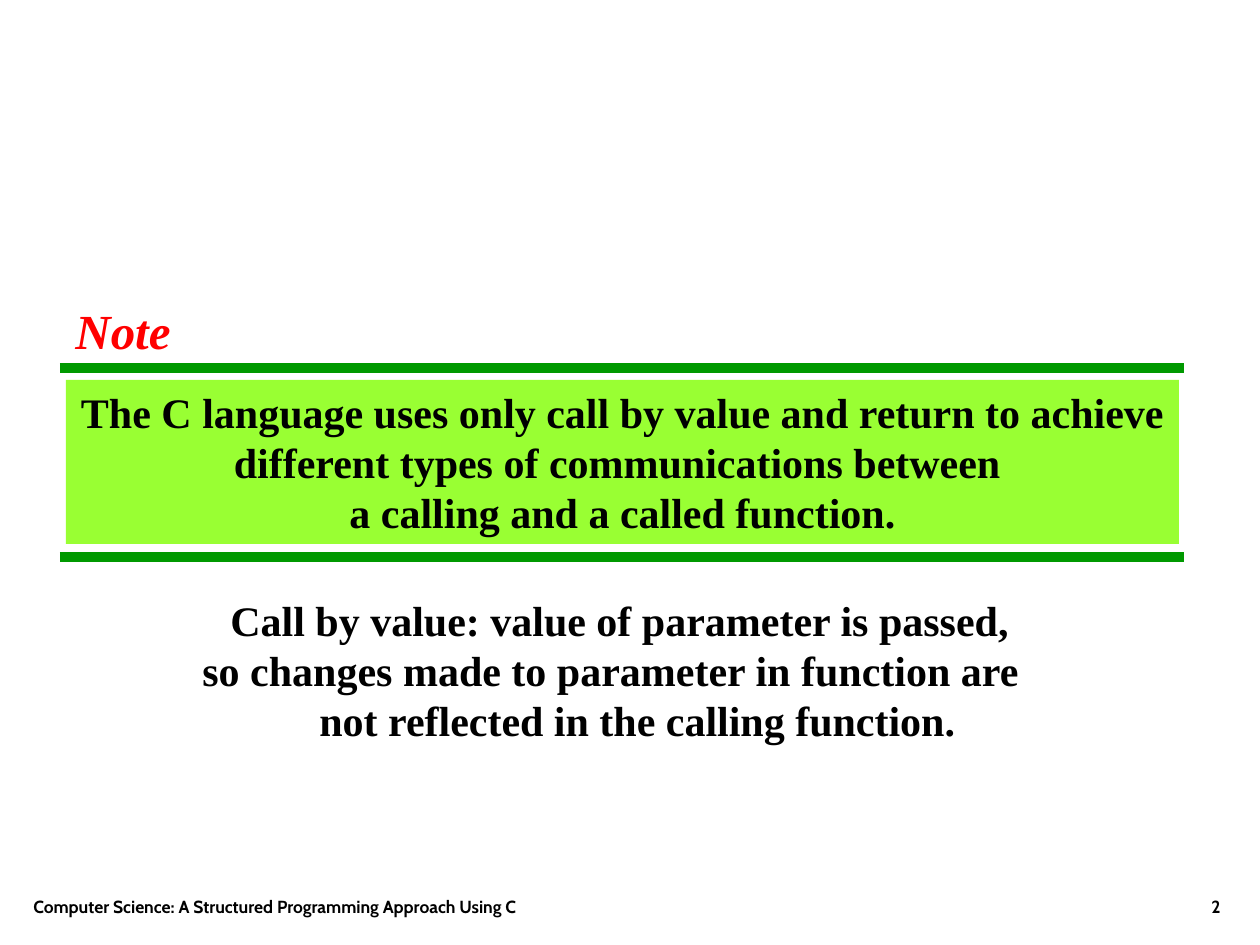
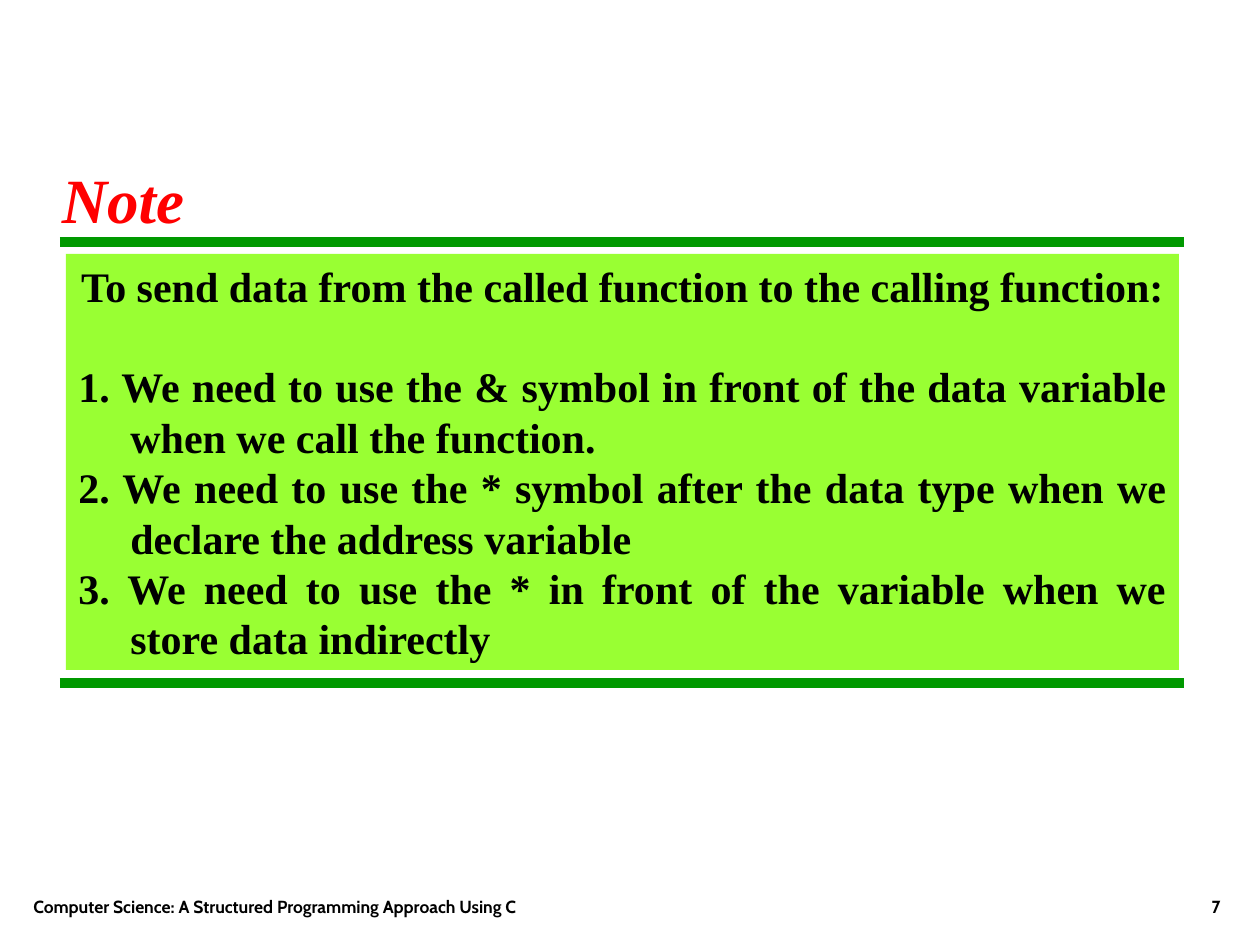
from pptx import Presentation
from pptx.dml.color import RGBColor
from pptx.enum.shapes import MSO_CONNECTOR, MSO_SHAPE
from pptx.enum.text import MSO_ANCHOR, MSO_AUTO_SIZE, PP_ALIGN as ALIGN
from pptx.oxml.ns import qn
from pptx.util import Pt
from lxml.etree import SubElement

# Shared look
EMU_PER_PX = 914400 / 126
SLIDE_WIDTH, SLIDE_HEIGHT = 1260, 945
BODY_FONT, FOOTER_FONT = "Times New Roman", "Cabin"
BLACK, RED, GREEN, LIME = "000000", "FF0000", "009900", "99FF33"
BODY_SIZE, FOOTER_SIZE = 24, 10
BODY_LINE = 28.8
BAR_LEFT, BAR_RIGHT, BAR_GAP = 60, 1184, 12
PANEL_LEFT, PANEL_WIDTH = 66, 1113
FOOTER_TOP, FOOTER_HEIGHT = 860, 63
HANGING = 52
FOOTER = "Computer Science: A Structured Programming Approach Using C"


def px(length):
    return round(length * EMU_PER_PX)


def color(hex_string):
    return RGBColor.from_string(hex_string)


def write(frame, lines, size, ink=BLACK, font=BODY_FONT, align=ALIGN.LEFT,
          italic=False):
    frame.text = "\n".join(lines)
    for paragraph in frame.paragraphs:
        paragraph.alignment = align
        for run in paragraph.runs:
            run.font.name = font
            run.font.size = Pt(size)
            run.font.bold = True
            run.font.italic = italic
            run.font.color.rgb = color(ink)


def indent(paragraph, left, first_line=0):
    properties = paragraph._p.get_or_add_pPr()
    properties.set("marL", str(px(left)))
    properties.set("indent", str(px(first_line)))


def add_text(slide, box, lines, size, wrap=False, anchor=MSO_ANCHOR.TOP, **style):
    frame = slide.shapes.add_textbox(*map(px, box)).text_frame
    frame.word_wrap = wrap
    frame.auto_size = MSO_AUTO_SIZE.NONE if wrap else MSO_AUTO_SIZE.SHAPE_TO_FIT_TEXT
    frame.vertical_anchor = anchor
    write(frame, lines, size, **style)
    return frame


def add_footer(slide, number):
    for left, width, text, align in ((21, 714, FOOTER, ALIGN.LEFT),
                                     (971, 262, str(number), ALIGN.RIGHT)):
        add_text(slide, (left, FOOTER_TOP, width, FOOTER_HEIGHT), [text],
                 FOOTER_SIZE, wrap=True, anchor=MSO_ANCHOR.BOTTOM,
                 font=FOOTER_FONT, align=align)


def add_bar(slide, y):
    bar = slide.shapes.add_connector(MSO_CONNECTOR.STRAIGHT, px(BAR_LEFT), px(y),
                                     px(BAR_RIGHT), px(y))
    bar.line.color.rgb = color(GREEN)
    bar.line.width = Pt(6)
    SubElement(bar._element.spPr, qn("a:effectLst"))


def add_panel(slide, top, height, lines):
    """Lime panel between two green bars; returns its text frame."""
    add_bar(slide, top - BAR_GAP)
    add_bar(slide, top + height + BAR_GAP + 1)
    panel = slide.shapes.add_shape(MSO_SHAPE.RECTANGLE, px(PANEL_LEFT), px(top),
                                   px(PANEL_WIDTH), px(height))
    panel.shadow.inherit = False
    panel.fill.solid()
    panel.fill.fore_color.rgb = color(LIME)
    panel.line.fill.background()
    frame = panel.text_frame
    frame.word_wrap = True
    frame.auto_size = MSO_AUTO_SIZE.SHAPE_TO_FIT_TEXT
    frame.vertical_anchor = MSO_ANCHOR.TOP
    write(frame, lines, BODY_SIZE, align=ALIGN.CENTER)
    return frame


def add_heading(slide, box, size):
    add_text(slide, box, ["Note"], size, ink=RED, align=ALIGN.CENTER, italic=True)


def new_slide(deck, number):
    slide = deck.slides.add_slide(deck.slide_layouts[6])
    add_footer(slide, number)
    return slide


def build_call_by_value(deck):
    slide = new_slide(deck, 2)
    add_panel(slide, 380, 164, [
        "The C language uses only call by value and return to achieve "
        "different types of communications between ",
        "a calling and a called function.",
    ])
    add_heading(slide, (58, 294, 130, 72), 28)

    # Explanation with stepped lines
    explanation = add_text(slide, (190, 588, 843, 164), [
        "Call by value: value of parameter is passed,",
        "so changes made to parameter in function are",
        "not reflected in the calling function.",
    ], BODY_SIZE)
    for paragraph, left in zip(explanation.paragraphs, (28, 0, 117)):
        indent(paragraph, left)


def build_sending_data(deck):
    slide = new_slide(deck, 7)
    rules = add_panel(slide, 254, 416, [
        "To send data from the called function to the calling function:",
        "1. We need to use the & symbol in front of the data variable\v"
        "when we call the function.",
        "2. We need to use the * symbol after the data type when we\v"
        "declare the address variable",
        "3. We need to use the * in front of the variable when we\v"
        "store data indirectly",
    ])
    # One line of space under the lead, then the numbered steps
    lead, *steps = rules.paragraphs
    lead.space_after = Pt(BODY_LINE)
    for step in steps:
        step.alignment = ALIGN.JUSTIFY
        indent(step, HANGING, -HANGING)
    add_heading(slide, (38, 154, 170, 88), 36)


def main():
    deck = Presentation()
    deck.slide_width, deck.slide_height = px(SLIDE_WIDTH), px(SLIDE_HEIGHT)
    build_call_by_value(deck)
    build_sending_data(deck)
    deck.save("out.pptx")


if __name__ == "__main__":
    main()
